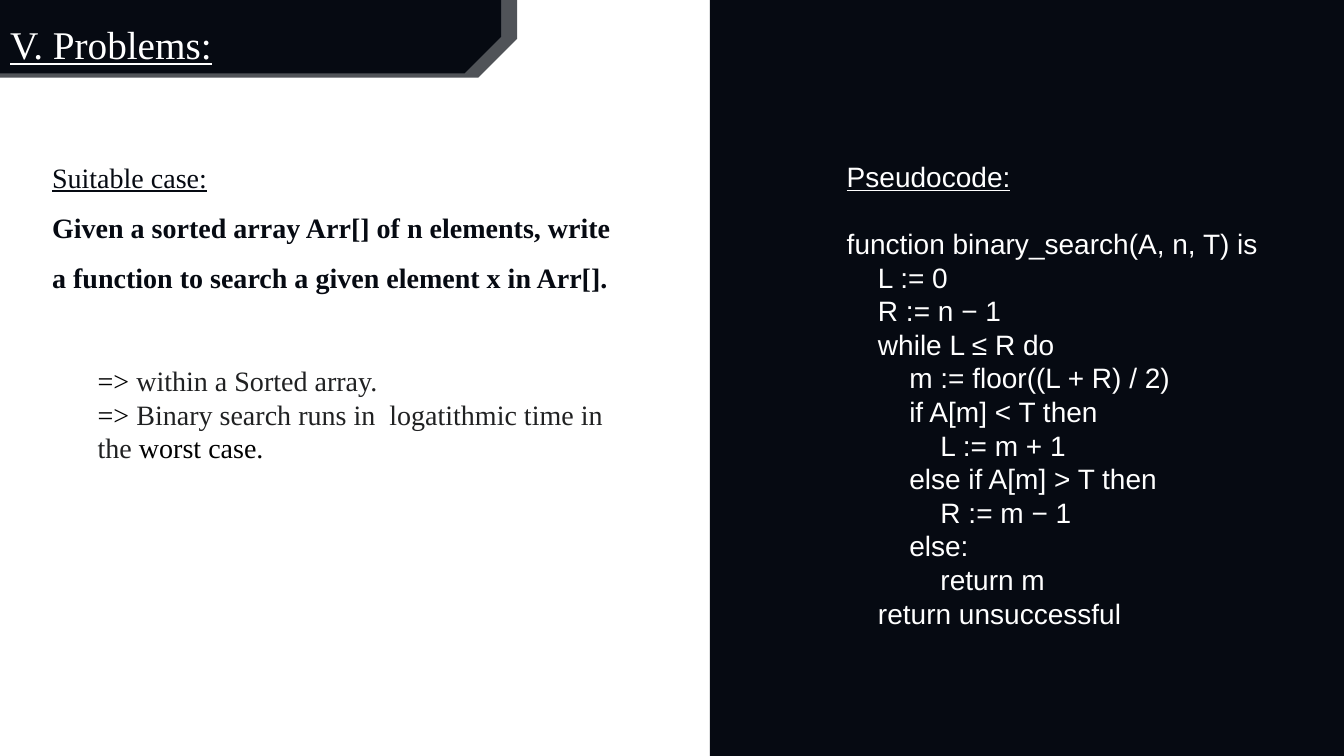
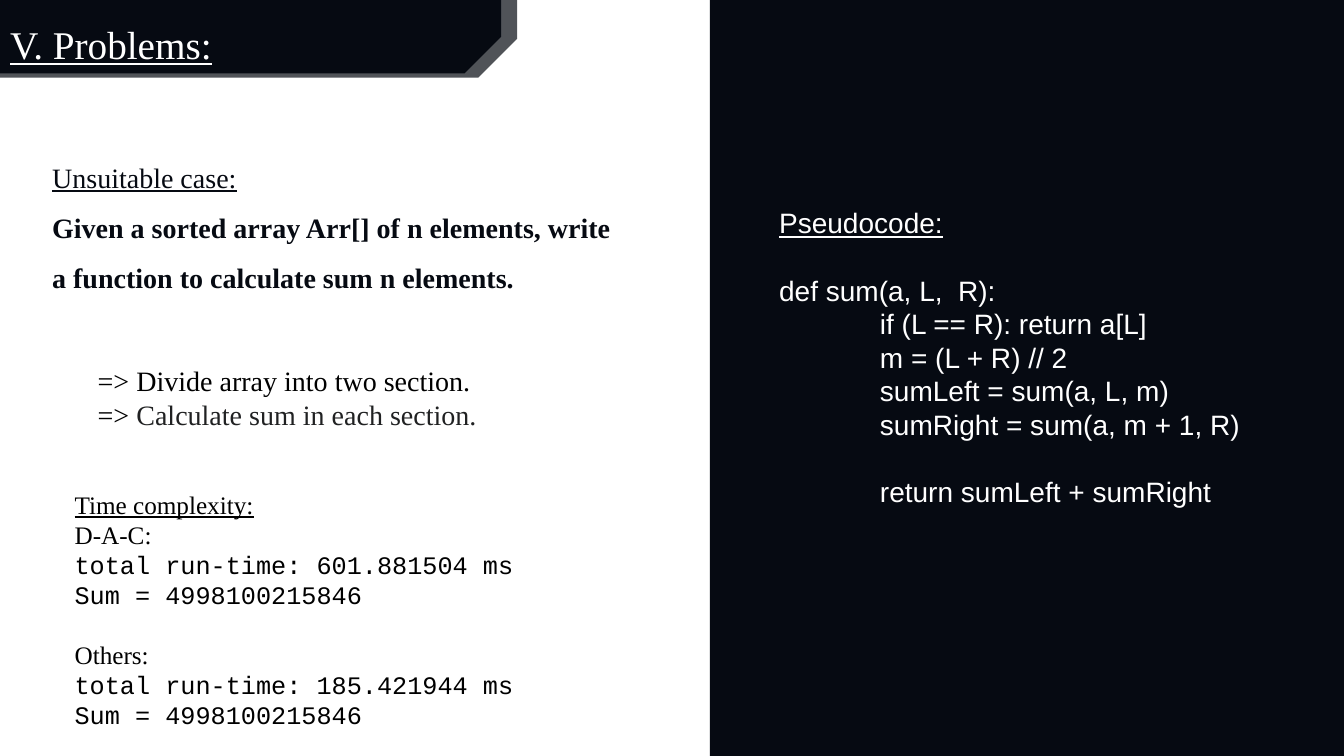
from dataclasses import dataclass

from pptx import Presentation
from pptx.dml.color import RGBColor
from pptx.enum.shapes import MSO_SHAPE as Preset
from pptx.enum.text import MSO_ANCHOR as Anchor, MSO_AUTO_SIZE as AutoSize, PP_ALIGN as Align
from pptx.oxml.ns import qn
from pptx.oxml.xmlchemy import OxmlElement
from pptx.util import Inches, Pt

NAVY = RGBColor(0x06, 0x0A, 0x12)
WHITE = RGBColor(0xFF, 0xFF, 0xFF)
BLACK = RGBColor(0x00, 0x00, 0x00)
CHARCOAL = RGBColor(0x20, 0x21, 0x22)

SERIF, SANS, MONO = "Times New Roman", "Arial", "Courier New"
COLUMNS, ROWS = 32, 18
TWO_CONTENT = 3


@dataclass
class Line:
    """One paragraph; text is a string or a list of (text, colour) runs."""
    text: object
    indent: float = 0
    gap: float = 0
    font: str = ""
    bold: bool = False
    underline: bool = False


class Deck:
    def __init__(self):
        self.file = Presentation()
        self.file.slide_width, self.file.slide_height = Inches(13.33), Inches(7.5)
        self.slide = None

    def box(self, col, row, cols, rows):
        """Turn grid cells into left, top, width and height."""
        cell_w = self.file.slide_width / COLUMNS
        cell_h = self.file.slide_height / ROWS
        return [round(n) for n in (col * cell_w, row * cell_h, cols * cell_w, rows * cell_h)]

    def new_slide(self, title):
        layout = self.file.slide_layouts[TWO_CONTENT]
        self.slide = self.file.slides.add_slide(layout)
        self.ribbon(12.31, 1.85, alpha=70)
        self.ribbon(11.93, 1.75)
        self.shape(Preset.RECTANGLE, 16.9, 0, COLUMNS - 16.9, ROWS)
        self.placeholder(0, (0, -0.19, 12.31, 1.73), [Line(title, underline=True)],
                         size=28, color=WHITE, spacing=1.5)

    def shape(self, preset, *cells):
        shape = self.slide.shapes.add_shape(preset, *self.box(*cells))
        shape.shadow.inherit = False
        shape.fill.solid()
        shape.fill.fore_color.rgb = NAVY
        shape.line.fill.background()
        return shape

    def ribbon(self, cols, rows, alpha=100):
        """Band in the top left corner, cut at its lower right."""
        band = self.shape(Preset.SNIP_1_RECTANGLE, 0, 0, cols, rows)
        band.adjustments[0] = 0.5
        band.rotation = 180
        properties = band._element.spPr
        properties.find(qn("a:xfrm")).set("flipH", "1")
        if alpha < 100:
            opacity = OxmlElement("a:alpha")
            opacity.set("val", str(alpha * 1000))
            properties.find(qn("a:solidFill"))[0].append(opacity)

    def placeholder(self, index, cells, lines, **style):
        """Fill a template placeholder and bring it in front of the bands."""
        holder = self.slide.placeholders[index]
        holder.left, holder.top, holder.width, holder.height = self.box(*cells)
        self.slide.shapes._spTree.append(holder._element)
        self.set_lines(holder.text_frame, lines, **style)

    def textbox(self, cells, lines, **style):
        box = self.slide.shapes.add_textbox(*self.box(*cells))
        self.set_lines(box.text_frame, lines, **style)

    def set_lines(self, frame, lines, size=20, font=SERIF, color=BLACK, spacing=1.0):
        frame.word_wrap = True
        frame.auto_size = AutoSize.NONE
        frame.vertical_anchor = Anchor.TOP
        for number, line in enumerate(lines):
            paragraph = frame.add_paragraph() if number else frame.paragraphs[0]
            paragraph.alignment = Align.LEFT
            paragraph.line_spacing = spacing
            paragraph.space_before, paragraph.space_after = Pt(line.gap), Pt(0)
            properties = paragraph._p.get_or_add_pPr()
            properties.set("marL", str(Inches(line.indent)))
            properties.set("indent", "0")
            properties.append(OxmlElement("a:buNone"))
            paragraph.font.name = line.font or font
            paragraph.font.size = Pt(size)
            paragraph.font.bold = line.bold
            paragraph.font.underline = line.underline
            paragraph.font.color.rgb = color
            if isinstance(line.text, str):
                paragraph.add_run().text = line.text
                continue
            for text, run_color in line.text:
                run = paragraph.add_run()
                run.text = text
                run.font.color.rgb = run_color

    def problem(self, case, *statement):
        lines = [Line(case, underline=True)] + [Line(text, bold=True) for text in statement]
        self.placeholder(1, (1, 3.29, 15.5, 5), lines, color=NAVY, spacing=1.5)

    def pseudocode(self, col, row, step, code):
        """Code is (depth, text) pairs, or (depth, text, gap); step is inches per depth."""
        lines = [Line("Pseudocode:", underline=True)]
        lines += [Line(text, depth * step, *gap) for depth, text, *gap in code]
        self.placeholder(2, (col, row, COLUMNS - col, 12), lines, font=SANS, color=WHITE)

    def conclusions(self, *points):
        self.textbox((2.09, 8.54, 13, 2.7), [Line(point) for point in points])

    def timings(self, heading, *results):
        lines = [Line(heading, underline=True)]
        for number, (method, *output) in enumerate(results):
            lines.append(Line(method, gap=21 if number else 0))
            lines += [Line(text, font=MONO) for text in output]
        self.textbox((1.54, 11.52, 14, 6.4), lines, size=18)


def main():
    deck = Deck()
    title = "V. Problems:"
    given = "Given a sorted array Arr[] of n elements, write"

    deck.new_slide(title)
    deck.problem("Suitable case:", given, "a function to search a given element x in Arr[].")
    deck.pseudocode(19.92, 3.67, 0.31, [
        (0, "function binary_search(A, n, T) is", 24),
        (1, "L := 0"),
        (1, "R := n − 1"),
        (1, "while L ≤ R do"),
        (2, "m := floor((L + R) / 2)"),
        (2, "if A[m] < T then"),
        (3, "L := m + 1"),
        (2, "else if A[m] > T then"),
        (3, "R := m − 1"),
        (2, "else:"),
        (3, "return m"),
        (1, "return unsuccessful"),
    ])
    deck.conclusions(
        [("=> ", BLACK), ("within a Sorted array.", CHARCOAL)],
        [("=> ", BLACK), ("Binary search runs in  logatithmic time in the ", CHARCOAL),
         ("worst case.", BLACK)],
    )

    deck.new_slide(title)
    deck.problem("Unsuitable case:", given, "a function to calculate sum n elements.")
    deck.pseudocode(18.31, 4.78, 1, [
        (0, "def sum(a, L,  R):", 24),
        (1, "if (L == R): return a[L]"),
        (1, "m = (L + R) // 2"),
        (1, "sumLeft = sum(a, L, m)"),
        (1, "sumRight = sum(a, m + 1, R)"),
        (1, "return sumLeft + sumRight", 24),
    ])
    deck.conclusions(
        "=> Divide array into two section.",
        [("=> ", BLACK), ("Calculate sum in each section.", CHARCOAL)],
    )
    deck.timings(
        "Time complexity:",
        ("D-A-C:", "total run-time: 601.881504 ms", "Sum = 4998100215846"),
        ("Others:", "total run-time: 185.421944 ms", "Sum = 4998100215846"),
    )
    deck.file.save("out.pptx")


if __name__ == "__main__":
    main()
